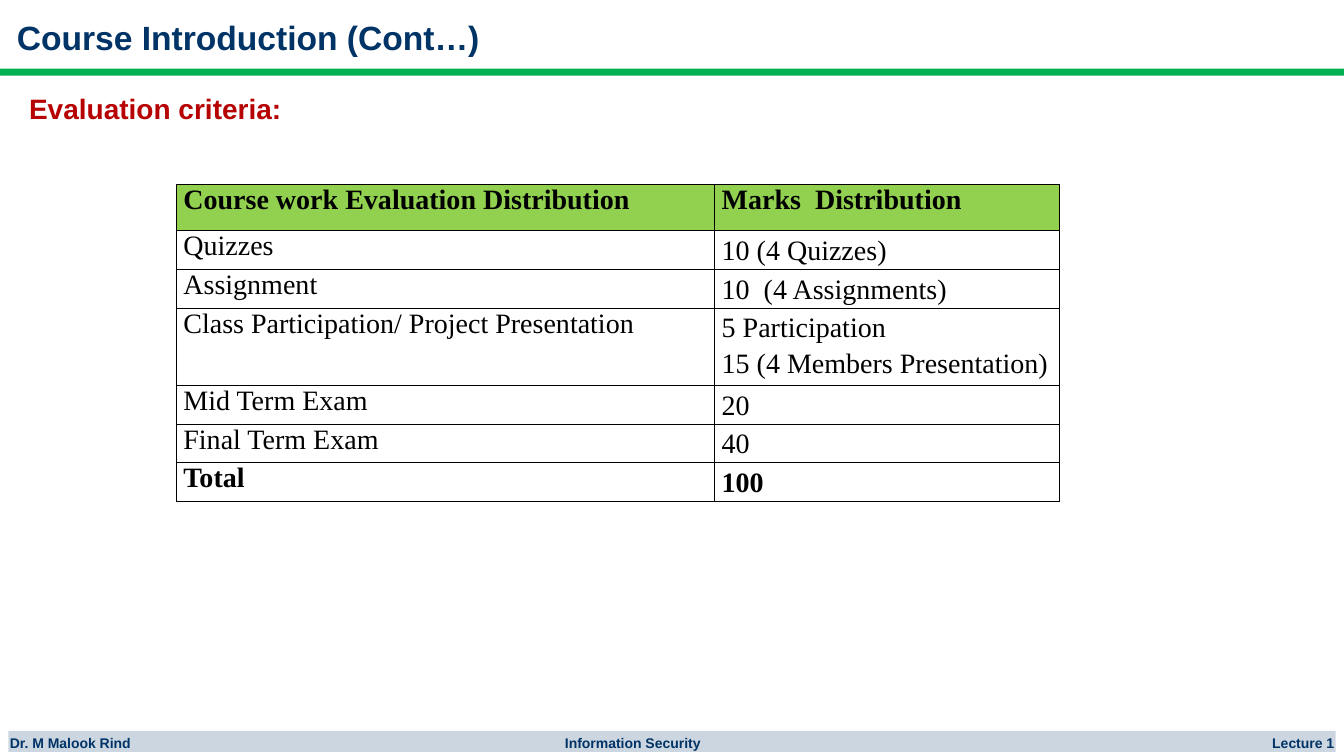
import pptx
import pptx.dml.color
import pptx.enum.shapes
import pptx.enum.text
import pptx.oxml.ns
import pptx.util
from lxml import etree

Pt = pptx.util.Pt
RGBColor = pptx.dml.color.RGBColor

NAVY = RGBColor(0x00, 0x33, 0x66)
RED = RGBColor(0xB6, 0x02, 0x03)
GREEN = RGBColor(0x00, 0xB0, 0x50)
LIME = RGBColor(0x92, 0xD0, 0x50)
PALE_BLUE = RGBColor(0xCC, 0xD6, 0xE0)
BLACK = RGBColor(0x00, 0x00, 0x00)

PAGE_WIDTH, PAGE_HEIGHT = 960, 540
ROW_HEIGHT = 27.6
COLUMN_WIDTHS = (384.5, 246.2)
MARKS = (
    ("Course work Evaluation Distribution", "Marks  Distribution"),
    ("Quizzes", "10 (4 Quizzes)"),
    ("Assignment", "10  (4 Assignments)"),
    ("Class Participation/ Project Presentation",
     "5 Participation\n15 (4 Members Presentation)"),
    ("Mid Term Exam", "20"),
    ("Final Term Exam", "40"),
    ("Total", "100"),
)


def write_text(frame, text, size=20, font="Arial", color=NAVY, bold=True,
               line_spacing=None, space_before=None, tabs=()):
    for index, line in enumerate(text.split("\n")):
        para = frame.add_paragraph() if index else frame.paragraphs[0]
        if line_spacing is not None:
            para.line_spacing = line_spacing
        if space_before is not None:
            para.space_before = Pt(space_before)
        span = para.add_run()
        span.text = line
        span.font.size = Pt(size)
        span.font.name = font
        span.font.bold = bold
        span.font.color.rgb = color
        if tabs:
            properties = para._p.get_or_add_pPr()
            tab_list = etree.SubElement(properties, pptx.oxml.ns.qn("a:tabLst"))
            for position, align in tabs:
                etree.SubElement(tab_list, pptx.oxml.ns.qn("a:tab"),
                                 pos=str(int(Pt(position))), algn=align)


def add_text(page, box, text, margins=(0, 0, 0, 0), **text_format):
    frame = page.shapes.add_textbox(*map(Pt, box)).text_frame
    frame.word_wrap = True
    (frame.margin_left, frame.margin_top,
     frame.margin_right, frame.margin_bottom) = map(Pt, margins)
    write_text(frame, text, **text_format)


def add_bar(page, box, color):
    bar = page.shapes.add_shape(
        pptx.enum.shapes.MSO_SHAPE.RECTANGLE, *map(Pt, box))
    bar.shadow.inherit = False
    bar.fill.solid()
    bar.fill.fore_color.rgb = color
    bar.line.fill.background()


def set_borders(cell, color, width):
    properties = cell._tc.get_or_add_tcPr()
    for index, side in enumerate(("lnL", "lnR", "lnT", "lnB")):
        border = etree.Element(pptx.oxml.ns.qn("a:" + side), w=str(int(Pt(width))))
        fill = etree.SubElement(border, pptx.oxml.ns.qn("a:solidFill"))
        etree.SubElement(fill, pptx.oxml.ns.qn("a:srgbClr"), val=str(color))
        properties.insert(index, border)


def add_header(page, box):
    left, top, width, height = box
    add_text(page, (left + 12, top + 12.2, 547, 34.6),
             "Course Introduction (Cont…)", size=24)
    add_bar(page, (left, top + height - 5, width, 5), GREEN)


def add_marks_table(page, box):
    left, top = box
    table = page.shapes.add_table(
        len(MARKS), len(COLUMN_WIDTHS), Pt(left), Pt(top),
        Pt(sum(COLUMN_WIDTHS)), Pt(ROW_HEIGHT * len(MARKS))).table
    table.first_row = False
    table.horz_banding = False
    for column, width in zip(table.columns, COLUMN_WIDTHS):
        column.width = Pt(width)
    for row_index, labels in enumerate(MARKS):
        is_header = row_index == 0
        line_count = labels[1].count("\n") + 1
        table.rows[row_index].height = Pt(33 if is_header else ROW_HEIGHT * line_count)
        for column_index, label in enumerate(labels):
            cell = table.cell(row_index, column_index)
            cell.margin_left = cell.margin_right = Pt(5)
            cell.margin_top = cell.margin_bottom = Pt(0)
            if is_header:
                cell.fill.solid()
                cell.fill.fore_color.rgb = LIME
            else:
                cell.fill.background()
            set_borders(cell, BLACK, 1)
            write_text(cell.text_frame, label, font="Times New Roman", color=BLACK,
                       bold=row_index in (0, len(MARKS) - 1),
                       line_spacing=1.15 if column_index and not is_header else None)


def add_footer(page, box):
    left, top, width, height = box
    add_bar(page, box, PALE_BLUE)
    add_text(page, (left, top + 2, width, height - 2),
             "Dr. M Malook Rind\tInformation Security\tLecture 1",
             margins=(1, 0.7, 0, 0), size=10, space_before=1,
             tabs=((396.5, "l"), (width - 2, "r")))


def build_page(deck):
    page = deck.slides.add_slide(deck.slide_layouts[6])
    add_header(page, (0, 0, PAGE_WIDTH, 54))
    add_text(page, (13.7, 62, 679, 31.5), "Evaluation criteria:",
             margins=(7.2, 3.6, 7.2, 3.6), color=RED)
    add_marks_table(page, (126, 131.8))
    add_footer(page, (6, 522, PAGE_WIDTH - 12, 15))


def main():
    deck = pptx.Presentation()
    deck.slide_width, deck.slide_height = Pt(PAGE_WIDTH), Pt(PAGE_HEIGHT)
    build_page(deck)
    deck.save("out.pptx")


if __name__ == "__main__":
    main()
